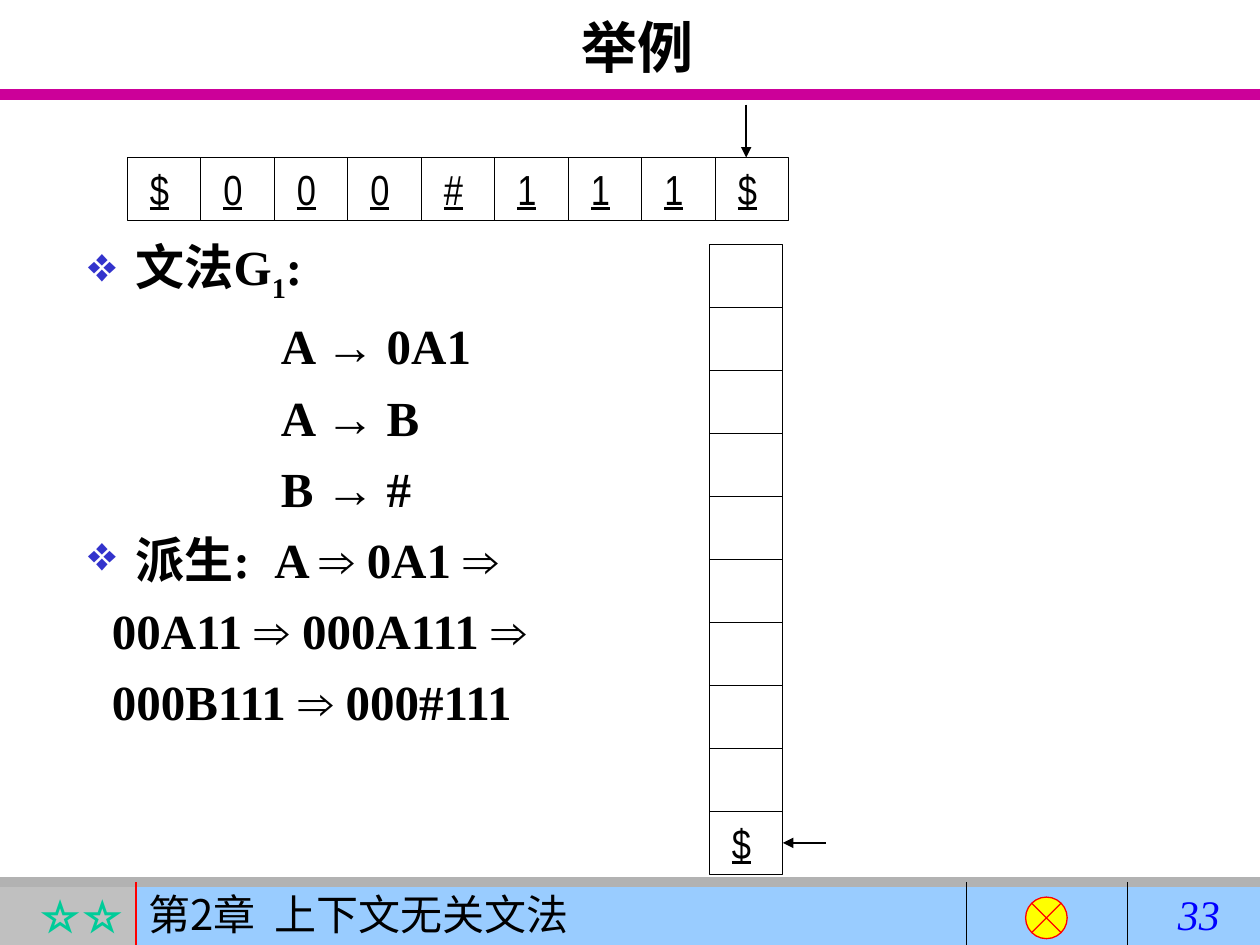
from collections import namedtuple
from dataclasses import dataclass

from lxml import etree
from pptx import Presentation
from pptx import util as u
from pptx.dml.color import RGBColor
from pptx.enum import shapes, text
from pptx.oxml.ns import qn

Box = namedtuple("Box", "left top width height")


@dataclass(frozen=True)
class Theme:
    ink: str = "000000"
    accent: str = "CC0099"
    bullet: str = "3333CC"
    star: str = "00CC99"
    star_panel: str = "C0C0C0"
    footer: str = "99CCFF"
    footer_rule: str = "B2B2B2"
    marker: str = "FFFF00"
    red: str = "FF0000"
    page: str = "0000FF"
    serif: str = "Times New Roman"
    symbol: str = "Arial"
    narrow: str = "Arial Narrow"
    chinese: str = "Noto Sans CJK SC"
    title_size: int = 32
    body_size: int = 28
    small_size: int = 24
    thin: float = 0.75
    thick: float = 6


THEME = Theme()
SLIDE = Box(0, 0, 10, 7.5)
CELL_WIDTH, CELL_HEIGHT = 7 / 12, 0.5
ARROWS = "→⇒"


def inches(box):
    return [u.Inches(value) for value in box]


def style_font(font, name, size, color=THEME.ink, **flags):
    font.name, font.size = name, u.Pt(size)
    font.color.rgb = RGBColor.from_string(color)
    for flag, value in flags.items():
        setattr(font, flag, value)


def add_line(slide, start, end, color=THEME.ink, width=THEME.thin, arrow=False):
    line = slide.shapes.add_connector(
        shapes.MSO_CONNECTOR.STRAIGHT, *inches(start + end))
    line.line.color.rgb = RGBColor.from_string(color)
    line.line.width = u.Pt(width)
    properties = line._element.spPr
    if arrow:
        etree.SubElement(properties.find(qn("a:ln")), qn("a:tailEnd"), type="triangle")
    etree.SubElement(properties, qn("a:effectLst"))


def add_panel(slide, box, fill=None, line=None, kind=shapes.MSO_SHAPE.RECTANGLE):
    panel = slide.shapes.add_shape(kind, *inches(box))
    panel.shadow.inherit = False
    if fill:
        panel.fill.solid()
        panel.fill.fore_color.rgb = RGBColor.from_string(fill)
    else:
        panel.fill.background()
    if line:
        panel.line.color.rgb = RGBColor.from_string(line)
        panel.line.width = u.Pt(THEME.thin)
    else:
        panel.line.fill.background()
    return panel


def write(shape, words, name, size, color=THEME.ink, align=text.PP_ALIGN.LEFT,
          anchor=text.MSO_ANCHOR.MIDDLE, **flags):
    frame = shape.text_frame
    frame.word_wrap = True
    frame.vertical_anchor = anchor
    paragraph = frame.paragraphs[0]
    paragraph.text = words
    paragraph.alignment = align
    style_font(paragraph.font, name, size, color, **flags)


def add_title(slide, box):
    title = slide.shapes.add_textbox(*inches(box))
    write(title, "举例", THEME.serif, THEME.title_size, align=text.PP_ALIGN.CENTER,
          anchor=text.MSO_ANCHOR.TOP, bold=True)


def add_footer(slide, box):
    left, top, width, height = box
    right, bottom = left + width, top + height
    split, marker_edge, page_edge = [left + width * share for share in (0.108, 0.767, 0.895)]

    stars = add_panel(slide, Box(left, top, split - left, height), THEME.star_panel)
    write(stars, "☆☆", THEME.serif, THEME.small_size, THEME.star,
          text.PP_ALIGN.RIGHT, bold=True)
    chapter = add_panel(slide, Box(split, top, right - split, height), THEME.footer)
    write(chapter, "第2章  上下文无关文法", THEME.chinese, THEME.small_size)

    add_line(slide, (left, top), (right, top), THEME.footer_rule, THEME.thick)
    for edge, color in ((split, THEME.red), (marker_edge, THEME.ink), (page_edge, THEME.ink)):
        add_line(slide, (edge, top), (edge, bottom), color)

    side = height * 0.66
    add_panel(slide, Box(left + width * 0.814, top + height * 0.24, side, side),
              THEME.marker, THEME.red, shapes.MSO_SHAPE.FLOWCHART_SUMMING_JUNCTION)
    number_left = left + width * 0.925
    page = slide.shapes.add_textbox(*inches((number_left, top, right - number_left, height)))
    write(page, "33", THEME.serif, THEME.small_size, THEME.page, italic=True)


def add_body_paragraph(frame, parts, margin, hanging=0, bullet=False, tab=None):
    """Add one line of runs; arrows use the symbol font, and (text, True) is a subscript."""
    first = not frame.paragraphs[0].runs
    paragraph = frame.paragraphs[0] if first else frame.add_paragraph()
    properties = paragraph._p.get_or_add_pPr()
    properties.set("marL", str(u.Inches(margin)))
    properties.set("indent", str(-u.Inches(hanging)))
    if not first:
        paragraph.space_before = u.Pt(7)
    if bullet:
        color = etree.SubElement(properties, qn("a:buClr"))
        etree.SubElement(color, qn("a:srgbClr"), val=THEME.bullet)
        etree.SubElement(properties, qn("a:buChar"), char="❖")
    else:
        etree.SubElement(properties, qn("a:buNone"))
    if tab:
        stops = etree.SubElement(properties, qn("a:tabLst"))
        etree.SubElement(stops, qn("a:tab"), pos=str(u.Inches(tab)), algn="l")
    for part in parts:
        words, subscript = part if isinstance(part, tuple) else (part, False)
        run = paragraph.add_run()
        run.text = words
        name = THEME.symbol if words in ARROWS else THEME.serif
        style_font(run.font, name, THEME.body_size, bold=True)
        if subscript:
            run.font._element.set("baseline", "-25000")


def add_grammar(slide, box):
    frame = slide.shapes.add_textbox(*inches(box)).text_frame
    frame.word_wrap = True
    heading = dict(margin=0.38, hanging=0.38, bullet=True)
    add_body_paragraph(frame, ["文法G", ("1", True), ":"], **heading)
    for variable, product in (("A", "0A1"), ("A", "B"), ("B", "#")):
        add_body_paragraph(frame, [variable + " ", "→", " " + product], margin=1.53)
    add_body_paragraph(frame, ["派生:\tA ", "⇒", " 0A1 ", "⇒"], tab=1.48, **heading)
    for parts in (["00A11 ", "⇒", " 000A111 ", "⇒"], ["000B111 ", "⇒", " 000#111"]):
        add_body_paragraph(frame, parts, margin=0.19)


def add_cells(slide, left, top, symbols, column_step=0, row_step=0):
    """Draw one cell per symbol, moving by the given columns and rows each time."""
    for index, symbol in enumerate(symbols):
        cell = add_panel(slide, Box(left + index * column_step * CELL_WIDTH,
                                    top + index * row_step * CELL_HEIGHT,
                                    CELL_WIDTH, CELL_HEIGHT), line=THEME.ink)
        if symbol:
            cell.text_frame.margin_left = u.Inches(0.18)
            cell.text_frame.margin_right = 0
            write(cell, symbol, THEME.narrow, THEME.small_size, underline=True)


def add_input_tape(slide, left, top):
    symbols = "$000#111$"
    add_cells(slide, left, top, symbols, column_step=1)
    head = left + (len(symbols) - 0.58) * CELL_WIDTH
    add_line(slide, (head, top - 0.42), (head, top), arrow=True)


def add_stack(slide, left, top):
    symbols = [""] * 9 + ["$"]
    add_cells(slide, left, top, symbols, row_step=1)
    right = left + CELL_WIDTH
    pointer = top + (len(symbols) - 0.5) * CELL_HEIGHT
    add_line(slide, (right + 0.34, pointer), (right, pointer), arrow=True)


def main():
    presentation = Presentation()
    presentation.slide_width = u.Inches(SLIDE.width)
    presentation.slide_height = u.Inches(SLIDE.height)
    slide = presentation.slides.add_slide(presentation.slide_layouts[6])
    add_line(slide, (0, 0.75), (SLIDE.width, 0.75), THEME.accent, THEME.thick)
    add_footer(slide, Box(0, 7, SLIDE.width, 0.5))
    add_title(slide, Box(0.81, 0.05, 8.5, 1.25))
    add_grammar(slide, Box(0.6, 1.83, 5.99, 5.08))
    add_input_tape(slide, 1.01, 1.25)
    add_stack(slide, 5.63, 1.94)
    presentation.save("out.pptx")


if __name__ == "__main__":
    main()
